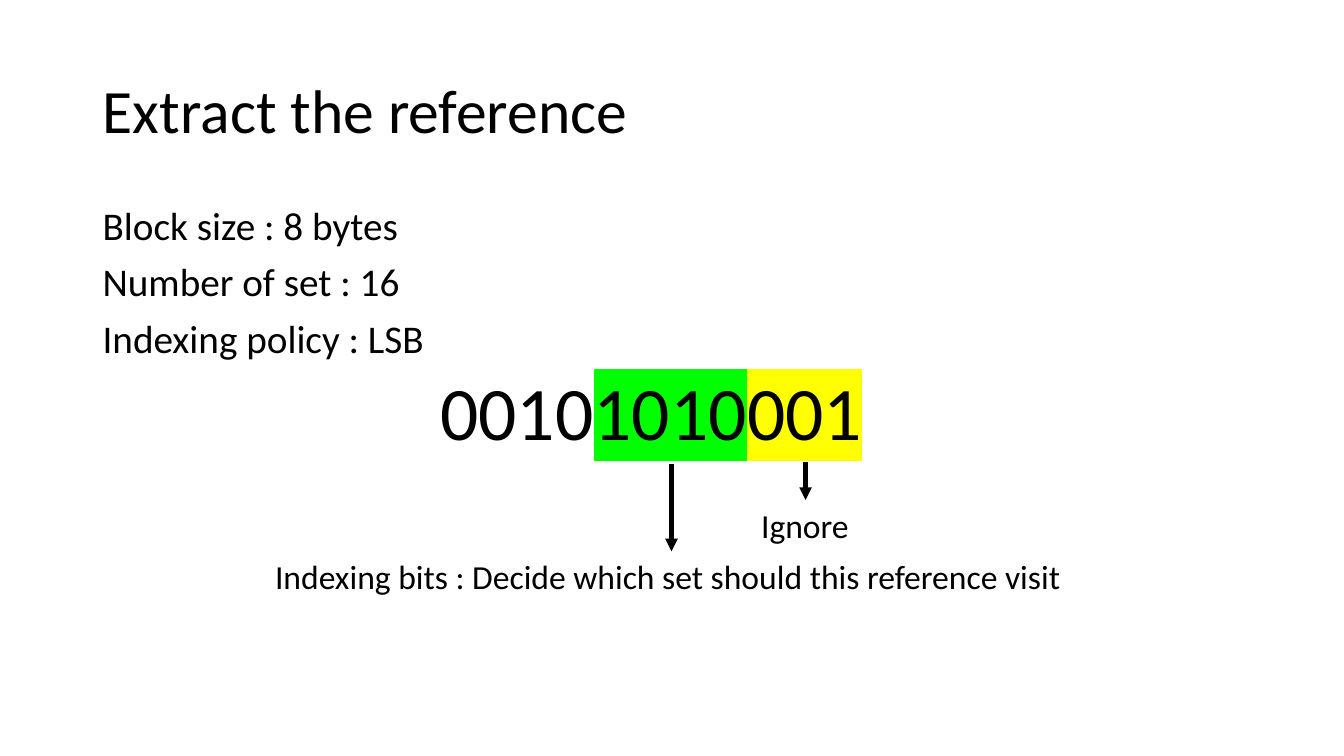
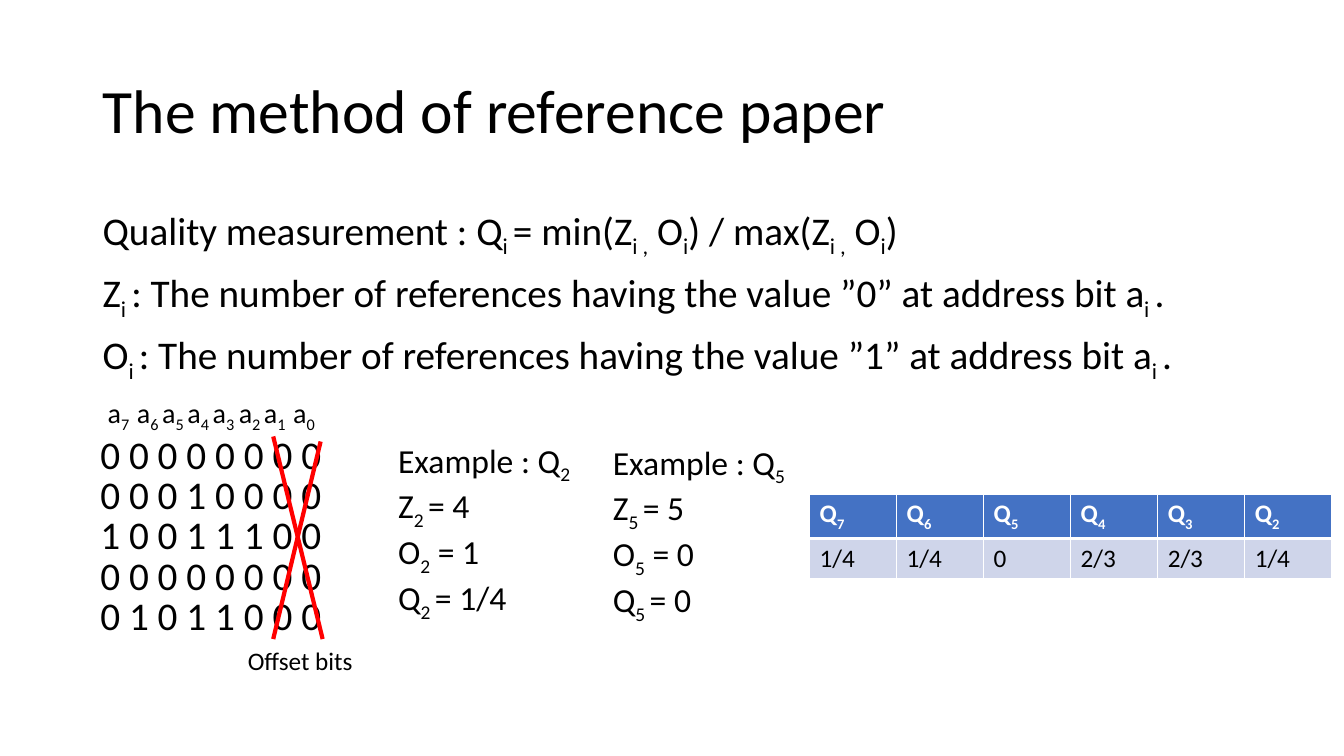
from lxml.etree import SubElement
from pptx import Presentation
from pptx.dml.color import RGBColor
from pptx.enum.text import MSO_ANCHOR, PP_ALIGN
from pptx.oxml.ns import qn
from pptx.util import Inches, Pt

BLACK = RGBColor(0, 0, 0)
WHITE = RGBColor(255, 255, 255)
RED = RGBColor(255, 0, 0)
BLUE = RGBColor(0x44, 0x72, 0xC4)
PALE = RGBColor(0xCF, 0xD5, 0xEA)
GREEN = RGBColor(0, 255, 0)
YELLOW = RGBColor(255, 255, 0)
FONT = "Calibri"
BODY = (0.92, 2, 11.5, 4.76)

# Text in square brackets is set as subscript.
FACTS = ["Block size : 8 bytes", "Number of set : 16", "Indexing policy : LSB"]
BITS = [("0010", None), ("1010", GREEN), ("001", YELLOW)]
NOTES = [
    ("Ignore", 7.45, 4.96, 1.08, 7.99, 4.58),
    ("Indexing bits : Decide which set should this reference visit", 2.63, 5.47, 8.07, 6.66, 4.6),
]

RULES = [
    "Quality measurement : Q[i ]= min(Z[i ,] O[i]) / max(Z[i ,] O[i])",
    "Z[i ]: The number of references having the value ”0” at address bit a[i ].",
    "O[i ]: The number of references having the value ”1” at address bit a[i ].",
]
REFS = ["0 0 0 0 0 0 0 0", "0 0 0 1 0 0 0 0", "1 0 0 1 1 1 0 0", "0 0 0 0 0 0 0 0", "0 1 0 1 1 0 0 0"]
STOPS = [0.29, 0.54, 0.79, 1.04, 1.3, 1.55, 1.84]
CROSS = [(3.18, 4.38, 2.71, 6.34), (2.71, 4.33, 3.2, 6.34)]
CASES = [
    (3.85, 4.31, ["Example : Q[2]", "Z[2 ]= 4", "O[2] = 1", "Q[2 ]= 1/4"]),
    (5.98, 4.33, ["Example : Q[5]", "Z[5 ]= 5", "O[5] = 0", "Q[5 ]= 0"]),
]
SCORES = [
    ["Q[7]", "Q[6]", "Q[5]", "Q[4]", "Q[3]", "Q[2]"],
    ["1/4", "1/4", "0", "2/3", "2/3", "1/4"],
]


def style(par, size, color=BLACK, bold=False):
    font = par.font
    font.name, font.size, font.bold = FONT, Pt(size), bold
    font.color.rgb = color


def write(par, text, size, color=BLACK, bold=False):
    for i, part in enumerate(text.replace("]", "[").split("[")):
        if part:
            run = par.add_run()
            run.text = part
            if i % 2:
                run._r.get_or_add_rPr().set("baseline", "-25000")
    style(par, size, color, bold)


def add_text(slide, area, lines, size, align=PP_ALIGN.LEFT, anchor=MSO_ANCHOR.TOP):
    frame = slide.shapes.add_textbox(*map(Inches, area)).text_frame
    frame.word_wrap = True
    frame.vertical_anchor = anchor
    for i, line in enumerate(lines):
        par = frame.add_paragraph() if i else frame.paragraphs[0]
        par.alignment = align
        write(par, line, size)
    return frame


def space(frame):
    for i, par in enumerate(frame.paragraphs):
        par.line_spacing = 0.9
        if i:
            par.space_before = Pt(10)


def add_line(slide, ends, color, arrow=False):
    line = slide.shapes.add_connector(1, *map(Inches, ends))
    line.line.color.rgb = color
    line.line.width = Pt(3)
    if arrow:
        SubElement(line.line._get_or_add_ln(), qn("a:tailEnd"), type="triangle")
    SubElement(line._element.spPr, qn("a:effectLst"))


def add_slide(deck, text):
    slide = deck.slides.add_slide(deck.slide_layouts[5])
    title = slide.shapes.title
    title.left, title.top, title.width, title.height = map(Inches, (0.92, 0.4, 11.5, 1.45))
    title.text_frame.vertical_anchor = MSO_ANCHOR.MIDDLE
    par = title.text_frame.paragraphs[0]
    par.alignment = PP_ALIGN.LEFT
    par.line_spacing = 0.9
    write(par, text, 44)
    return slide


def add_bits(frame):
    par = frame.add_paragraph()
    par._p.get_or_add_pPr().set("marL", str(Inches(3.35)))
    for text, color in BITS:
        run = par.add_run()
        run.text = text
        if color is not None:
            mark = SubElement(run._r.get_or_add_rPr(), qn("a:highlight"))
            SubElement(mark, qn("a:srgbClr"), val=str(color))
    style(par, 54)


def add_heads(slide):
    heads = "\t".join(f"a[{n}]" for n in range(7, -1, -1))
    frame = add_text(slide, (0.97, 3.95, 2.44, 0.32), [""], 20, anchor=MSO_ANCHOR.MIDDLE)
    par = frame.paragraphs[0]
    tabs = SubElement(par._p.get_or_add_pPr(), qn("a:tabLst"))
    par._p.pPr.insert(0, tabs)
    for stop in STOPS:
        SubElement(tabs, qn("a:tab"), pos=str(Inches(stop)), algn="l")
    write(par, heads, 20)


def edge(cell, side, width):
    line = SubElement(cell._tc.get_or_add_tcPr(), qn(f"a:ln{side}"), w=str(Pt(width)))
    SubElement(SubElement(line, qn("a:solidFill")), qn("a:srgbClr"), val=str(WHITE))


def add_scores(slide):
    area = map(Inches, (8.03, 4.9, 5.18, 0.8))
    table = slide.shapes.add_table(len(SCORES), len(SCORES[0]), *area).table
    for r, row in enumerate(SCORES):
        head = r == 0
        for c, text in enumerate(row):
            cell = table.cell(r, c)
            for side in "LRTB":
                edge(cell, side, 3 if side == ("B" if head else "T") else 1)
            cell.fill.solid()
            cell.fill.fore_color.rgb = BLUE if head else PALE
            write(cell.text_frame.paragraphs[0], text, 18, WHITE if head else BLACK, head)


def add_extract(deck):
    slide = add_slide(deck, "Extract the reference")
    frame = add_text(slide, BODY, FACTS, 28)
    add_bits(frame)
    space(frame)
    for text, left, top, width, x, y in NOTES:
        add_line(slide, (x, y, x, top), BLACK, arrow=True)
        add_text(slide, (left, top, width, 0.5), [text], 24)


def add_method(deck):
    slide = add_slide(deck, "The method of reference paper")
    space(add_text(slide, BODY, RULES, 28))
    for i, ref in enumerate(REFS):
        area = (0.77, 4.34 + 0.4 * i, 2.64, 0.32)
        add_text(slide, area, [ref], 28, PP_ALIGN.CENTER, MSO_ANCHOR.MIDDLE)
    add_heads(slide)
    for ends in CROSS:
        add_line(slide, ends, RED)
    add_text(slide, (2.36, 6.35, 1.3, 0.4), ["Offset bits"], 18)
    for left, top, lines in CASES:
        add_text(slide, (left, top, 2, 1.72), lines, 24)
    add_scores(slide)


def main():
    deck = Presentation()
    deck.slide_width, deck.slide_height = Inches(13.33), Inches(7.5)
    add_extract(deck)
    add_method(deck)
    deck.save("out.pptx")


if __name__ == "__main__":
    main()
